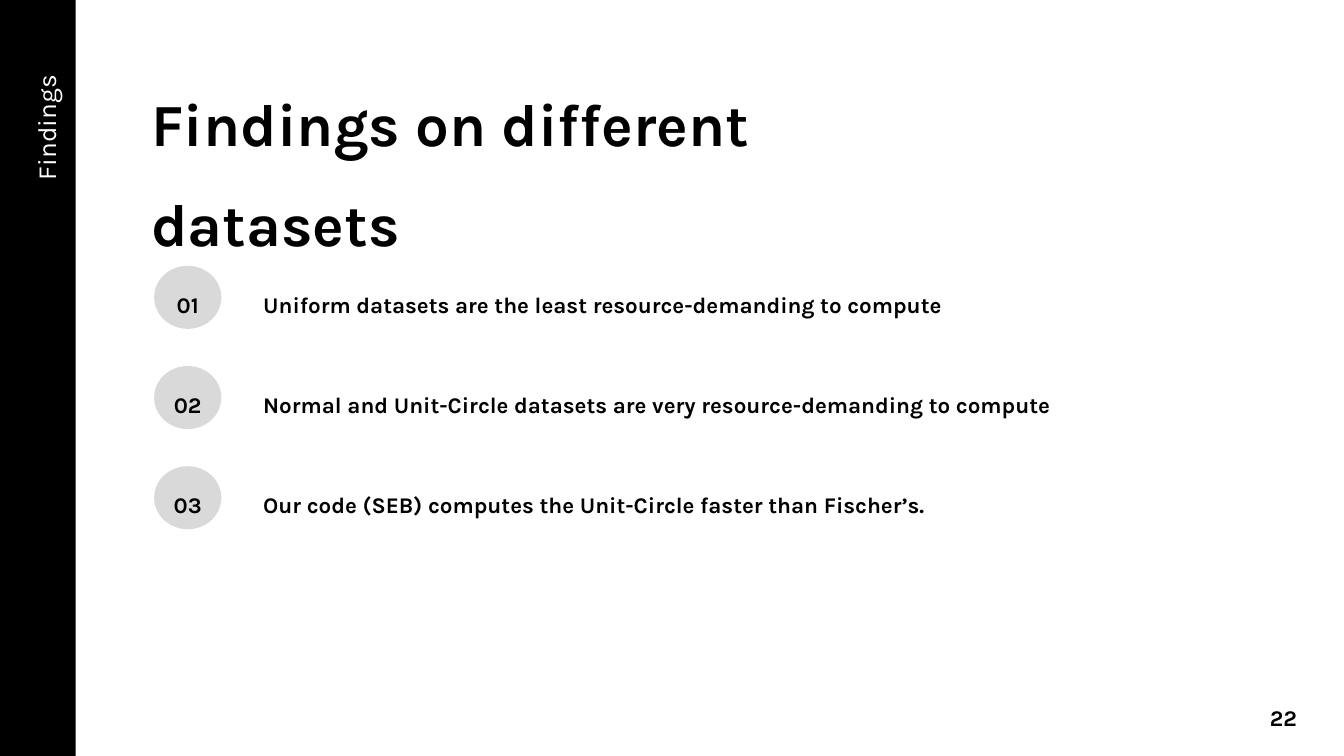
from pptx import Presentation
from pptx import util as u
from pptx.dml import color
from pptx.enum import shapes, text

Pt = u.Pt
LEFT, RIGHT, MID = text.PP_ALIGN.LEFT, text.PP_ALIGN.RIGHT, text.PP_ALIGN.CENTER
OVAL, RECT = shapes.MSO_SHAPE.OVAL, shapes.MSO_SHAPE.RECTANGLE


def rgb(code):
    return color.RGBColor.from_string(code)


class Deck:
    font, ink, paper, grey = "Karla", "000000", "FFFFFF", "D9D9D9"

    def __init__(self, wide, high):
        self.prs = Presentation()
        self.prs.slide_width, self.prs.slide_height = Pt(wide), Pt(high)
        self.slide = self.prs.slides.add_slide(self.prs.slide_layouts[5])

    def fill_text(self, frame, words, size, tint, bold, align):
        frame.margin_left = frame.margin_right = 0
        frame.margin_top = frame.margin_bottom = 0
        frame.word_wrap = True
        frame.auto_size = text.MSO_AUTO_SIZE.NONE
        frame.vertical_anchor = text.MSO_ANCHOR.TOP
        para = frame.paragraphs[0]
        para.alignment, para.line_spacing = align, 1.4
        run = para.add_run()
        run.text = words
        font = run.font
        font.name, font.size, font.bold = self.font, Pt(size), bold
        font.color.rgb = rgb(tint)

    def title(self, box, words):
        item = self.slide.shapes.title
        item.left, item.top, item.width, item.height = map(Pt, box)
        self.fill_text(item.text_frame, words, 32, self.ink, True, LEFT)

    def label(self, box, words, align=LEFT, size=12, tint=ink, bold=True, turn=0):
        item = self.slide.shapes.add_textbox(*map(Pt, box))
        item.rotation = turn
        self.fill_text(item.text_frame, words, size, tint, bold, align)

    def shape(self, kind, box, fill):
        item = self.slide.shapes.add_shape(kind, *map(Pt, box))
        item.shadow.inherit = False
        item.fill.solid()
        item.fill.fore_color.rgb = rgb(fill)
        item.line.fill.background()


def main():
    deck = Deck(720, 405)

    # Side band with the section name
    deck.shape(RECT, (0, 0, 40.5, 405), deck.ink)
    deck.label((-52.6, 102.2, 143.3, 19.4), "Findings", RIGHT,
               size=14, tint=deck.paper, bold=False, turn=270)

    # Title
    deck.title((81, 31, 346, 86.4), "Findings on different datasets")

    # Numbered findings
    points = [
        "Uniform datasets are the least resource-demanding to compute",
        "Normal and Unit-Circle datasets are very resource-demanding to compute",
        "Our code (SEB) computes the Unit-Circle faster than Fischer’s.",
    ]
    for num, point in enumerate(points):
        top = 142.4 + 53.7 * num
        deck.shape(OVAL, (82.6, top, 36, 33.8), deck.grey)
        deck.label((89.4, top + 7.8, 22.4, 16.2), f"{num + 1:02}", MID)
        deck.label((141, top + 7.8, 480, 16.2), point)

    # Page number
    deck.label((664.6, 371.5, 30.2, 14.4), "22", RIGHT)

    deck.prs.save("out.pptx")


if __name__ == "__main__":
    main()
